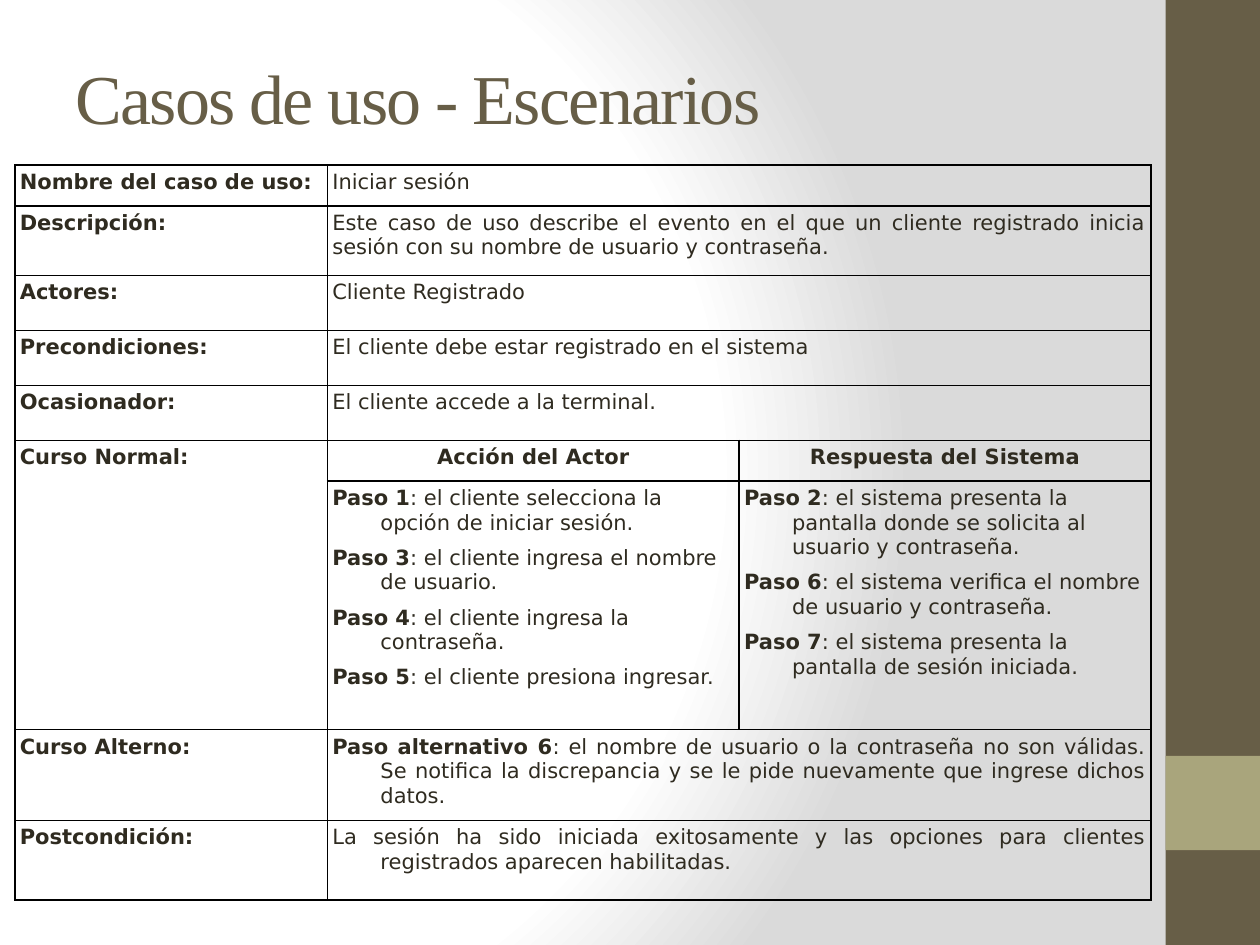
from dataclasses import dataclass

import lxml.etree
import pptx
import pptx.dml.color
import pptx.enum.shapes
import pptx.enum.text
import pptx.oxml
import pptx.oxml.ns
import pptx.util

Cm = pptx.util.Cm
Pt = pptx.util.Pt
Align = pptx.enum.text.PP_ALIGN
Anchor = pptx.enum.text.MSO_ANCHOR
qualified = pptx.oxml.ns.qn

BROWN, OLIVE, INK, BLACK = "675E47", "A9A57C", "2F2B20", "000000"
CELL_MARGIN = Cm(0.1)
HANGING = Cm(0.97)


@dataclass
class Band:
    top: float
    height: float
    color: str


@dataclass
class Entry:
    """A table cell; each paragraph is a (bold part, plain part) pair."""
    row: int
    column: int
    paragraphs: list[tuple[str, str]]
    align: Align = Align.JUSTIFY
    hanging: bool = False
    last_row: int | None = None
    last_column: int | None = None


def rgb(color: str) -> pptx.dml.color.RGBColor:
    return pptx.dml.color.RGBColor.from_string(color)


def add_text(paragraph, text: str, *, font="DejaVu Sans", size=12.0, color=INK,
             bold=False, spacing=0.0) -> None:
    run = paragraph.add_run()
    run.text = text
    run.font.name = font
    run.font.size = Pt(size)
    run.font.bold = bold
    run.font.color.rgb = rgb(color)
    if spacing:
        run.font._element.set("spc", str(round(spacing * 100)))


def set_background(slide) -> None:
    """Radial gradient: white, turning grey towards the right."""
    stops = "".join(
        f'<a:gs pos="{position * 1000}"><a:srgbClr val="{color}"/></a:gs>'
        for position, color in ((0, "FFFFFF"), (75, "FFFFFF"), (100, "DADADA")))
    background = pptx.oxml.parse_xml(
        f'<p:bg {pptx.oxml.ns.nsdecls("p", "a")}><p:bgPr>'
        f'<a:gradFill rotWithShape="1"><a:gsLst>{stops}</a:gsLst>'
        '<a:path path="circle">'
        '<a:fillToRect l="20000" t="50000" r="100000" b="50000"/></a:path>'
        '</a:gradFill><a:effectLst/></p:bgPr></p:bg>')
    slide.element.find(qualified("p:cSld")).insert(0, background)


def add_band(slide, band: Band) -> None:
    shape = slide.shapes.add_shape(
        pptx.enum.shapes.MSO_SHAPE.RECTANGLE,
        Cm(23.5), Cm(band.top), Cm(1.9), Cm(band.height))
    shape.shadow.inherit = False
    shape.fill.solid()
    shape.fill.fore_color.rgb = rgb(band.color)
    shape.line.fill.background()


def set_borders(cell) -> None:
    properties = cell._tc.get_or_add_tcPr()
    for index, side in enumerate(("lnL", "lnR", "lnT", "lnB")):
        line = lxml.etree.Element(qualified(f"a:{side}"), w=str(Pt(1)))
        fill = lxml.etree.SubElement(line, qualified("a:solidFill"))
        lxml.etree.SubElement(fill, qualified("a:srgbClr"), val=BLACK)
        properties.insert(index, line)


def fill_entry(table, entry: Entry) -> None:
    cell = table.cell(entry.row, entry.column)
    last_row = entry.row if entry.last_row is None else entry.last_row
    last_column = entry.column if entry.last_column is None else entry.last_column
    if (last_row, last_column) != (entry.row, entry.column):
        cell.merge(table.cell(last_row, last_column))
    frame = cell.text_frame
    for index, (bold_part, plain_part) in enumerate(entry.paragraphs):
        paragraph = frame.add_paragraph() if index else frame.paragraphs[0]
        paragraph.alignment = entry.align
        if entry.hanging:
            paragraph.space_before = Pt(6)
            properties = paragraph._p.get_or_add_pPr()
            properties.set("marL", str(HANGING))
            properties.set("indent", str(-HANGING))
        else:
            paragraph.space_after = Pt(6)
        if bold_part:
            add_text(paragraph, bold_part, bold=True)
        if plain_part:
            add_text(paragraph, plain_part)


def add_use_case_table(slide, entries: list[Entry]) -> None:
    widths = (6.3, 8.3, 8.3)
    heights = (0.82, 1.4, 1.11, 1.11, 1.11, 0.82, 5.01, 1.83, 1.6)
    table = slide.shapes.add_table(
        len(heights), len(widths), Cm(0.3), Cm(3.33),
        Cm(sum(widths)), Cm(sum(heights))).table
    table.first_row = table.horz_banding = False
    for column, width in zip(table.columns, widths):
        column.width = Cm(width)
    for row, height in zip(table.rows, heights):
        row.height = Cm(height)
    for cell in table.iter_cells():
        cell.margin_left = cell.margin_right = CELL_MARGIN
        cell.margin_top = cell.margin_bottom = CELL_MARGIN
        cell.fill.background()
        set_borders(cell)
    for entry in entries:
        fill_entry(table, entry)


# Table wording: (row, label, bold lead, text)
WIDE_ROWS = [
    (0, "Nombre del caso de uso:", "", "Iniciar sesión"),
    (1, "Descripción:", "", "Este caso de uso describe el evento en el que un cliente "
     "registrado inicia sesión con su nombre de usuario y contraseña."),
    (2, "Actores:", "", "Cliente Registrado"),
    (3, "Precondiciones:", "", "El cliente debe estar registrado en el sistema"),
    (4, "Ocasionador:", "", "El cliente accede a la terminal."),
    (7, "Curso Alterno:", "Paso alternativo 6", ": el nombre de usuario o la contraseña "
     "no son válidas. Se notifica la discrepancia y se le pide nuevamente que ingrese "
     "dichos datos."),
    (8, "Postcondición:", "", "La sesión ha sido iniciada exitosamente y las opciones "
     "para clientes registrados aparecen habilitadas."),
]
COURSE_ROW = 5
COURSE_COLUMNS = {
    "Acción del Actor": [
        ("Paso 1", ": el cliente selecciona la opción de iniciar sesión."),
        ("Paso 3", ": el cliente ingresa el nombre de usuario."),
        ("Paso 4", ": el cliente ingresa la contraseña."),
        ("Paso 5", ": el cliente presiona ingresar."),
    ],
    "Respuesta del Sistema": [
        ("Paso 2", ": el sistema presenta la pantalla donde se solicita al usuario "
         "y contraseña."),
        ("Paso 6", ": el sistema verifica el nombre de usuario y contraseña."),
        ("Paso 7", ": el sistema presenta la pantalla de sesión iniciada."),
    ],
}


def use_case_entries() -> list[Entry]:
    entries = []
    for row, label, lead, text in WIDE_ROWS:
        hanging = row > COURSE_ROW
        entries.append(Entry(row, 0, [(label, "")], hanging=hanging))
        entries.append(Entry(row, 1, [(lead, text)], hanging=hanging, last_column=2))
    entries.append(Entry(COURSE_ROW, 0, [("Curso Normal:", "")], hanging=True,
                         last_row=COURSE_ROW + 1))
    for column, (heading, steps) in enumerate(COURSE_COLUMNS.items(), start=1):
        entries.append(Entry(COURSE_ROW, column, [(heading, "")], Align.CENTER, True))
        entries.append(Entry(COURSE_ROW + 1, column, steps, Align.LEFT, True))
    return entries


def main() -> None:
    presentation = pptx.Presentation()
    presentation.slide_width, presentation.slide_height = Cm(25.4), Cm(19.05)
    slide = presentation.slides.add_slide(presentation.slide_layouts[5])
    set_background(slide)

    # Side bands
    for band in (Band(0, 19.05, BROWN), Band(15.24, 1.9, OLIVE)):
        add_band(slide, band)

    # Title
    title = slide.shapes.title
    title.left, title.top, title.width, title.height = (
        Cm(1.27), Cm(0.36), Cm(22.86), Cm(3.18))
    title.text_frame.vertical_anchor = Anchor.MIDDLE
    heading = title.text_frame.paragraphs[0]
    heading.alignment = Align.LEFT
    add_text(heading, "Casos de uso - Escenarios", font="Times New Roman",
             size=40, color=BROWN, spacing=-1)

    add_use_case_table(slide, use_case_entries())
    presentation.save("out.pptx")


if __name__ == "__main__":
    main()
